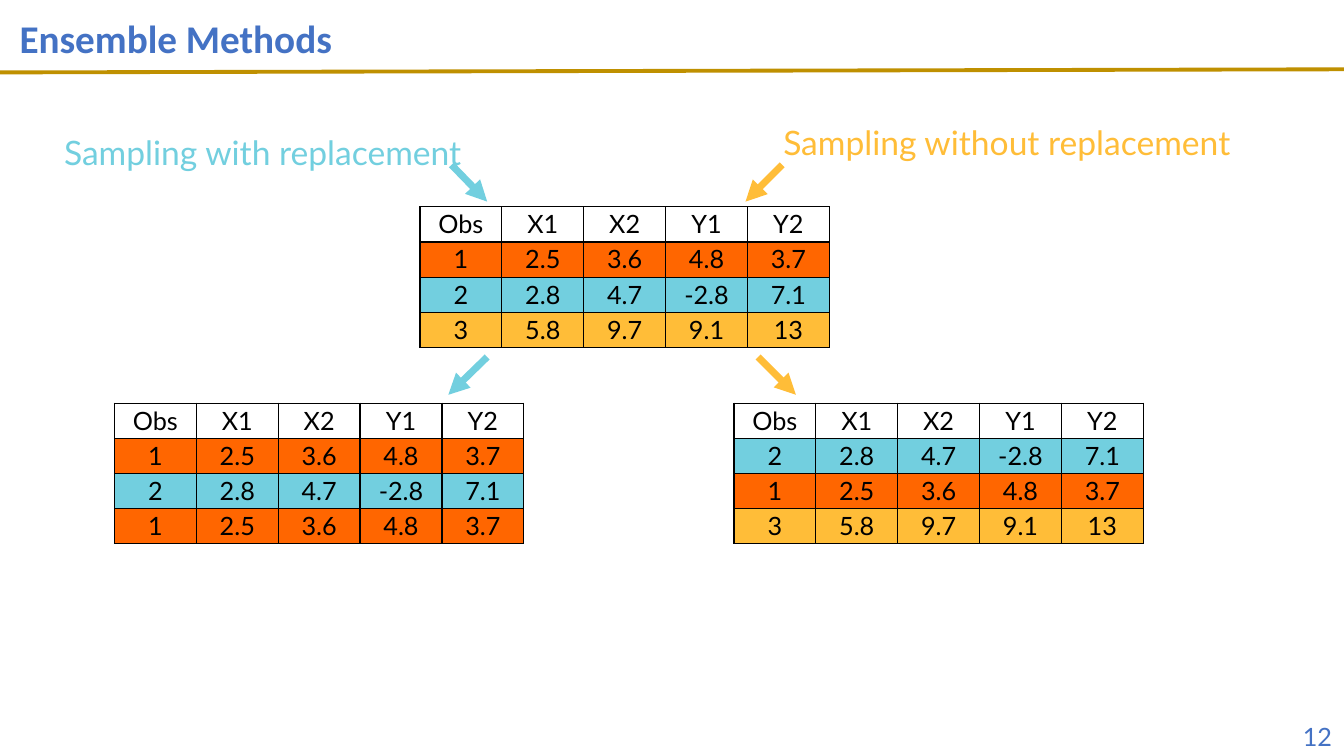
from lxml.etree import SubElement
from pptx import Presentation
from pptx.dml.color import RGBColor
from pptx.enum.shapes import MSO_CONNECTOR
from pptx.enum.text import MSO_ANCHOR, MSO_AUTO_SIZE, PP_ALIGN
from pptx.oxml import parse_xml
from pptx.oxml.ns import nsdecls, qn
from pptx.util import Pt

PX = 9525
BLUE, GOLD, BLACK = "4472C4", "BF9000", "000000"
ORANGE, AQUA, AMBER = "FF6600", "72CFDF", "FFBD38"
rgb = RGBColor.from_string


def write(frame, text, size=18, font="Lato", color=BLACK, bold=False,
          align=PP_ALIGN.LEFT, spacing=1.0):
    para = frame.paragraphs[0]
    para.alignment = align
    para.line_spacing = spacing
    span = para.add_run()
    span.text = text
    span.font.size = Pt(size)
    span.font.name = font
    span.font.bold = bold
    span.font.color.rgb = rgb(color)


def add_line(ends, color, width, arrow=False):
    line = page.shapes.add_connector(MSO_CONNECTOR.STRAIGHT, *(end * PX for end in ends))
    line.line.color.rgb = rgb(color)
    line.line.width = Pt(width)
    properties = line._element.spPr
    if arrow:
        SubElement(properties.find(qn("a:ln")), qn("a:tailEnd"), type="triangle")
    SubElement(properties, qn("a:effectLst"))


deck = Presentation()
deck.slide_width, deck.slide_height = 1280 * PX, 720 * PX
page = deck.slides.add_slide(deck.slide_layouts[5])

add_line((0, 69, 1280, 66), GOLD, 2.75)

title = page.shapes.title
title.left, title.top, title.width, title.height = 9 * PX, 0, 1104 * PX, 77 * PX
title.text_frame.vertical_anchor = MSO_ANCHOR.MIDDLE
title.text_frame.auto_size = MSO_AUTO_SIZE.NONE
write(title.text_frame, "Ensemble Methods", size=28, font="Calibri", color=BLUE,
      bold=True, spacing=0.9)

labels = [
    ("Sampling with replacement", (56, 123, 408, 48), AQUA),
    ("Sampling without replacement", (741, 113, 485, 68), AMBER),
]
for text, place, color in labels:
    box = page.shapes.add_textbox(*(length * PX for length in place))
    frame = box.text_frame
    frame.word_wrap = True
    frame.margin_left = frame.margin_right = 5 * PX
    frame.margin_top = frame.margin_bottom = 3 * PX
    write(frame, text, size=24, color=color)

header = ["Obs", "X1", "X2", "Y1", "Y2"]
observations = {
    1: (["1", "2.5", "3.6", "4.8", "3.7"], ORANGE),
    2: (["2", "2.8", "4.7", "-2.8", "7.1"], AQUA),
    3: (["3", "5.8", "9.7", "9.1", "13"], AMBER),
}
samples = [
    ((400, 197), (1, 2, 3)),
    ((109, 384), (1, 2, 1)),
    ((699, 384), (2, 1, 3)),
]
for (left, top), drawn in samples:
    rows = [(header, None)] + [observations[number] for number in drawn]
    table = page.shapes.add_table(len(rows), len(header), left * PX, top * PX,
                                  390 * PX, 134 * PX).table
    table.first_row = table.horz_banding = False
    for row, (values, color) in zip(table.rows, rows):
        for cell, value in zip(row.cells, values):
            cell.margin_left = cell.margin_right = 5 * PX
            cell.margin_top = cell.margin_bottom = 2 * PX
            for side in ("lnL", "lnR", "lnT", "lnB"):
                cell._tc.get_or_add_tcPr().append(parse_xml(
                    f'<a:{side} {nsdecls("a")} w="{Pt(1)}"><a:solidFill>'
                    f'<a:srgbClr val="{BLACK}"/></a:solidFill></a:{side}>'))
            if color:
                cell.fill.solid()
                cell.fill.fore_color.rgb = rgb(color)
            else:
                cell.fill.background()
            write(cell.text_frame, value, align=PP_ALIGN.CENTER)

arrows = [
    ((430, 157, 464, 192), AQUA),
    ((745, 157, 710, 192), AMBER),
    ((722, 340, 758, 376), AMBER),
    ((464, 340, 427, 376), AQUA),
]
for ends, color in arrows:
    add_line(ends, color, 5, arrow=True)

page_number = page.shapes.add_textbox(979 * PX, 682 * PX, 299 * PX, 38 * PX)
page_number.text_frame.word_wrap = True
write(page_number.text_frame, "12", color=BLUE, align=PP_ALIGN.RIGHT)

deck.save("out.pptx")
